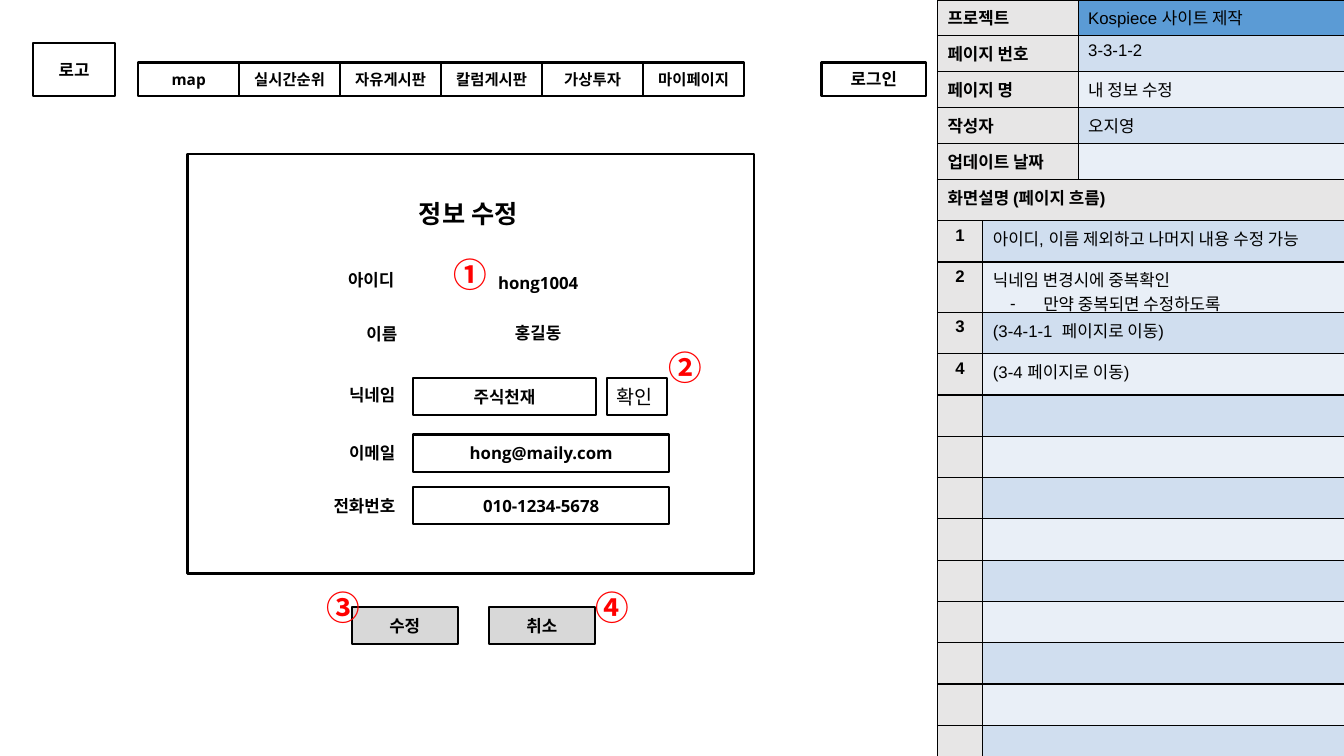
import lxml.etree
import pptx
import pptx.dml.color
import pptx.enum.shapes
import pptx.enum.text
import pptx.oxml.ns
import pptx.util

Pt = pptx.util.Pt
RGB = pptx.dml.color.RGBColor
ALIGN = pptx.enum.text.PP_ALIGN
ANCHOR = pptx.enum.text.MSO_ANCHOR
qn = pptx.oxml.ns.qn

BLACK = RGB(0, 0, 0)
RED = RGB(255, 0, 0)
GRAY = RGB(0xD8, 0xD8, 0xD8)
LABEL = RGB(0xE7, 0xE6, 0xE6)
BLUE = RGB(0x5B, 0x9B, 0xD5)
BANDS = [RGB(0xD0, 0xDE, 0xEF), RGB(0xE9, 0xEF, 0xF7)]
SANS = "Open Sans"
HANGUL = "Noto Sans CJK KR"
LINE = 26.64


def style(para, size, face, bold=True, color=BLACK):
    for run in para.runs:
        font = run.font
        font.size, font.name, font.bold = Pt(size), face, bold
        font.color.rgb = color
        lxml.etree.SubElement(font._element, qn("a:ea"), typeface=HANGUL)


def write(shape, text, size=12, face=SANS, bold=True, color=BLACK,
          align=ALIGN.CENTER, anchor=ANCHOR.MIDDLE, inset=7.2):
    frame = shape.text_frame
    frame.word_wrap = True
    frame.vertical_anchor = anchor
    frame.margin_left = frame.margin_right = Pt(7.2)
    frame.margin_top = frame.margin_bottom = Pt(inset)
    frame.text = text
    para = frame.paragraphs[0]
    para.alignment = align
    style(para, size, face, bold, color)


def label(slide, text, x, y, w, h=LINE, **look):
    shape = slide.shapes.add_textbox(Pt(x), Pt(y), Pt(w), Pt(h))
    write(shape, text, **look)


def mark(slide, text, x, y):
    label(slide, text, x, y, 43.2, 36, size=24, face=HANGUL, color=RED,
          align=ALIGN.LEFT, anchor=ANCHOR.TOP, inset=3.6)


def box(slide, text, x, y, w, h=LINE, fill=None, **look):
    kind = pptx.enum.shapes.MSO_SHAPE.RECTANGLE
    shape = slide.shapes.add_shape(kind, Pt(x), Pt(y), Pt(w), Pt(h))
    shape.shadow.inherit = False
    if fill is None:
        shape.fill.background()
    else:
        shape.fill.solid()
        shape.fill.fore_color.rgb = fill
    shape.line.color.rgb = BLACK
    shape.line.width = Pt(1.5)
    if text:
        write(shape, text, **look)


def menu(slide, x, y):
    box(slide, "로고", x, y, 58.3, 37.4)
    names = ["map", "실시간순위", "자유게시판", "칼럼게시판", "가상투자", "마이페이지"]
    for i, name in enumerate(names):
        box(slide, name, x + 74.9 + i * 72.14, y + 13.65, 72.14, 23.75, size=11)
    box(slide, "로그인", x + 563, y + 13.65, 74.9, 23.75)


def form(slide, x, y, w, h):
    box(slide, "", x, y, w, h)
    label(slide, "정보 수정", x + 135.4, y + 28.8, 130.3, size=18)
    names = [("아이디", -0.7, 76.3), ("이름", 1.4, 115.2), ("닉네임", 0, 158.4),
             ("이메일", 0, 200.2), ("전화번호", 0, 237.6)]
    for name, left, top in names:
        label(slide, name, x + 80.7 + left, y + top, 74.9, align=ALIGN.RIGHT)
    for text, top in [("hong1004", 78.4), ("홍길동", 114.5)]:
        label(slide, text, x + 159.1, y + top, 182.9)
    fields = [("주식천재", 159.8, 130.3), ("hong@maily.com", 200.2, 182.9),
              ("010-1234-5678", 237.6, 182.9)]
    for text, top, wide in fields:
        box(slide, text, x + 161.3, y + top, wide)
    box(slide, "확인", x + 299.5, y + 159.8, 43.2, size=14, face=HANGUL,
        bold=False, align=ALIGN.LEFT)
    mark(slide, "①", x + 182.9, y + 67.6)
    mark(slide, "②", x + 336.3, y + 133.9)


def foot(slide, x, y):
    for text, left in [("수정", 25.2), ("취소", 123.1)]:
        box(slide, text, x + left, y + 18, 75.6, fill=GRAY)
    mark(slide, "③", x, y)
    mark(slide, "④", x + 192.2, y)


def edge(cell):
    props = cell._tc.get_or_add_tcPr()
    for i, side in enumerate(["lnL", "lnR", "lnT", "lnB"]):
        line = lxml.etree.Element(qn("a:" + side), w=str(Pt(1)))
        fill = lxml.etree.SubElement(line, qn("a:solidFill"))
        lxml.etree.SubElement(fill, qn("a:srgbClr"), val=str(BLACK))
        props.insert(i, line)


def fill_cell(cell, text, color, bold, align=ALIGN.LEFT):
    cell.fill.solid()
    cell.fill.fore_color.rgb = color
    edge(cell)
    cell.text_frame.text = text
    for para in cell.text_frame.paragraphs:
        para.alignment = align
        style(para, 12, "Arial", bold)
        if not text:
            lxml.etree.SubElement(para._p, qn("a:endParaRPr"), sz="1200")


def grid(slide, count, x, y, wides, high):
    frame = slide.shapes.add_table(count, 2, Pt(x), Pt(y), Pt(sum(wides)),
                                   Pt(count * high))
    table = frame.table
    table.first_row = table.horz_banding = False
    for col, wide in zip(table.columns, wides):
        col.width = Pt(wide)
    for row in table.rows:
        row.height = Pt(high)
    return table


def dash(para):
    props = para._p.get_or_add_pPr()
    props.set("marL", str(Pt(36)))
    props.set("indent", str(Pt(-23.76)))
    tint = lxml.etree.SubElement(props, qn("a:buClr"))
    lxml.etree.SubElement(tint, qn("a:srgbClr"), val=str(BLACK))
    lxml.etree.SubElement(props, qn("a:buFont"), typeface="Arial")
    lxml.etree.SubElement(props, qn("a:buChar"), char="-")


def facts(slide, x, y):
    rows = [("프로젝트", "Kospiece 사이트 제작"), ("페이지 번호", "3-3-1-2"),
            ("페이지 명", "내 정보 수정"), ("작성자", "오지영"), ("업데이트 날짜", "")]
    table = grid(slide, len(rows), x, y, [100.5, 190.4], 25.65)
    for i, (name, text) in enumerate(rows):
        fill_cell(table.cell(i, 0), name, LABEL, True)
        fill_cell(table.cell(i, 1), text, BANDS[(i + 1) % 2] if i else BLUE, False)


def notes(slide, x, y):
    texts = ["아이디, 이름 제외하고 나머지 내용 수정 가능",
             "닉네임 변경시에 중복확인\n만약 중복되면 수정하도록",
             "(3-4-1-1  페이지로 이동)", "(3-4 페이지로 이동)"]
    table = grid(slide, 14, x, y, [32.4, 258.5], 29.5)
    table.cell(0, 0).merge(table.cell(0, 1))
    fill_cell(table.cell(0, 0), "화면설명 (페이지 흐름)", LABEL, True)
    edge(table.cell(0, 1))
    for i in range(1, 14):
        used = i <= len(texts)
        fill_cell(table.cell(i, 0), str(i) if used else "", LABEL, True, ALIGN.CENTER)
        fill_cell(table.cell(i, 1), texts[i - 1] if used else "",
                  BANDS[(i + 1) % 2], False)
    dash(table.cell(2, 1).text_frame.paragraphs[1])


def main():
    deck = pptx.Presentation()
    deck.slide_width, deck.slide_height = Pt(960), Pt(540)
    slide = deck.slides.add_slide(deck.slide_layouts[6])
    form(slide, 133.9, 110.2, 404.6, 299.5)
    facts(slide, 669.6, 0)
    notes(slide, 669.6, 128.25)
    foot(slide, 226.1, 415.4)
    menu(slide, 23.8, 31)
    deck.save("out.pptx")


if __name__ == "__main__":
    main()
